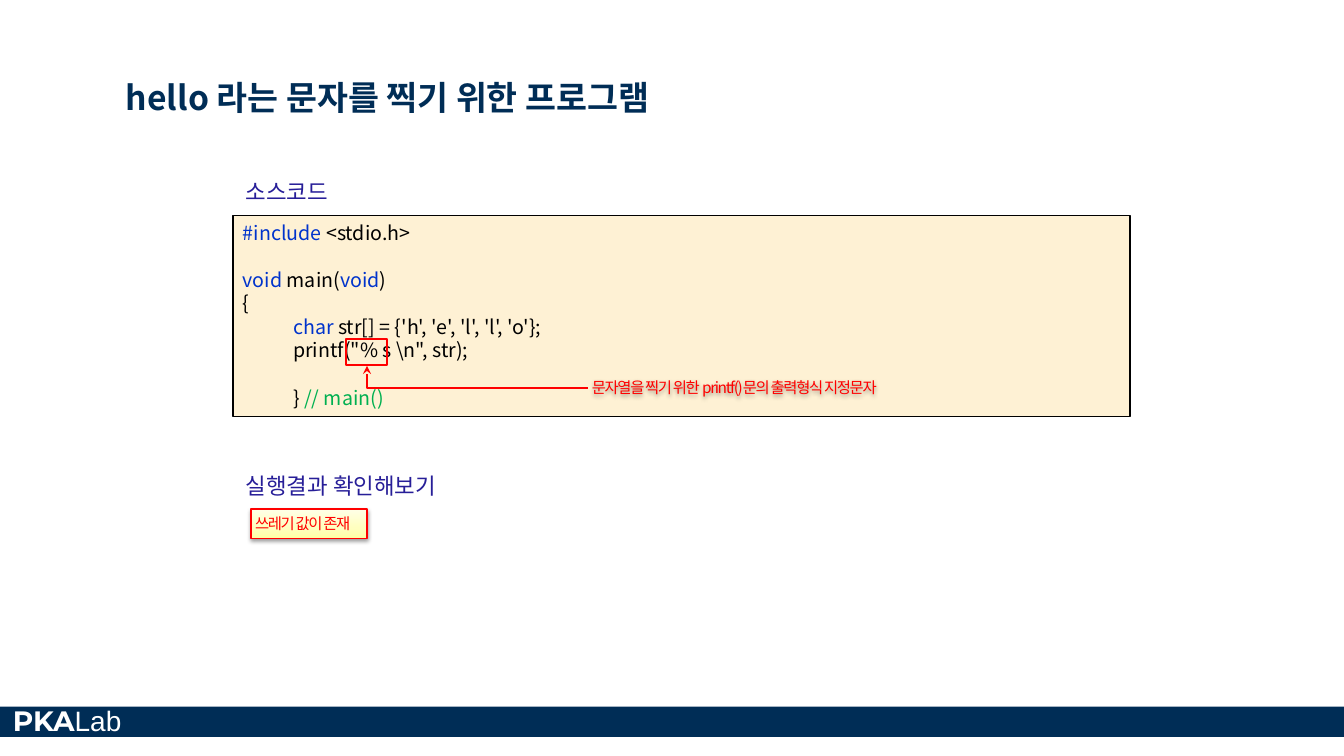
import pptx
import pptx.util
import pptx.oxml
import pptx.oxml.ns
import pptx.dml.color
import pptx.enum.shapes
import pptx.enum.text

Inches, Pt = pptx.util.Inches, pptx.util.Pt
Anchor = pptx.enum.text.MSO_ANCHOR
Shape = pptx.enum.shapes.MSO_SHAPE

COLORS = {
    "navy": "002D56", "white": "FFFFFF", "heading": "271E98", "cream": "FEF1D4",
    "black": "000000", "keyword": "0033CC", "comment": "00B050", "red": "FF0000",
}
FONT = "Noto Sans CJK KR"
TITLE = "hello 라는 문자를 찍기 위한 프로그램"
HEADINGS = [("소스코드", 1.71), ("실행결과 확인해보기", 4.62)]
NOTE = "문자열을 찍기 위한 printf()문의 출력형식 지정문자"
RESULT = "쓰레기 값이 존재"
LOGO = [("PKA", "white", "Montserrat", True), ("Lab", "white", "Arial", False)]
CODE_LINE = 16.8
CODE = [
    (0, 0, [("#include ", "keyword"), ("<stdio.h>", "black")]),
    (0, 1, [("void ", "keyword"), ("main(", "black"), ("void", "keyword"), (")", "black")]),
    (0, 0, [("{", "black")]),
    (0.5, 0, [("char ", "keyword"), ("str[] = {'h', 'e', 'l', 'l', 'o'};", "black")]),
    (0.5, 0, [("printf(\"% s \\n\", str);", "black")]),
    (0.5, 1, [("} ", "black"), ("// main()", "comment")]),
]
GRADIENT = [(0, "FFFFA5"), (35, "FFFFBF"), (100, "FFFFE7")]


def rgb(name):
    return pptx.dml.color.RGBColor.from_string(COLORS[name])


def parse_xml(tag, attributes="", content=""):
    namespace = pptx.oxml.ns.nsdecls("a")
    return pptx.oxml.parse_xml(f"<a:{tag} {namespace} {attributes}>{content}</a:{tag}>")


def write_text(shape, lines, size=14, anchor=Anchor.TOP, inset=(0.1, 0.05),
               spacing=None, tracking=0):
    """Write lines of (indent, blank lines above, runs) into a shape."""
    frame = shape.text_frame
    frame.word_wrap = True
    frame.vertical_anchor = anchor
    frame.margin_left = frame.margin_right = Inches(inset[0])
    frame.margin_top = frame.margin_bottom = Inches(inset[1])
    for index, (indent, gap, runs) in enumerate(lines):
        paragraph = frame.paragraphs[0] if index == 0 else frame.add_paragraph()
        paragraph.alignment = pptx.enum.text.PP_ALIGN.LEFT
        if spacing:
            paragraph.line_spacing = Pt(spacing)
            paragraph.space_before = Pt(gap * spacing)
        if indent:
            paragraph._p.get_or_add_pPr().set("marL", str(Inches(indent)))
        for text, color, *style in runs:
            run = paragraph.add_run()
            run.text = text
            font_name, bold = style or (FONT, False)
            run.font.size, run.font.bold, run.font.name = Pt(size), bold, font_name
            run.font.color.rgb = rgb(color)
            properties = run._r.get_or_add_rPr()
            properties.append(parse_xml("ea", f'typeface="{font_name}"'))
            if tracking:
                properties.set("spc", str(tracking * 100))


def add_box(slide, area, kind=Shape.RECTANGLE, fill=None, line=None, width=1):
    shape = slide.shapes.add_shape(kind, *map(Inches, area))
    shape.shadow.inherit = False
    if fill:
        shape.fill.solid()
        shape.fill.fore_color.rgb = rgb(fill)
    else:
        shape.fill.background()
    if line:
        shape.line.color.rgb = rgb(line)
        shape.line.width = Pt(width)
    else:
        shape.line.fill.background()
    return shape


def add_text(slide, area, lines, **options):
    shape = slide.shapes.add_textbox(*map(Inches, area))
    write_text(shape, lines, **options)
    return shape


def add_shadow(shape):
    shape.shadow.inherit = False
    effects = shape._element.spPr.find(pptx.oxml.ns.qn("a:effectLst"))
    effects.append(parse_xml(
        "outerShdw", f'blurRad="{Pt(3.1)}" dist="{Pt(1.6)}" dir="5400000" rotWithShape="0"',
        '<a:srgbClr val="000000"><a:alpha val="38000"/></a:srgbClr>'))


def add_gradient(shape):
    stops = "".join(f'<a:gs pos="{place * 1000}"><a:srgbClr val="{color}"/></a:gs>'
                    for place, color in GRADIENT)
    properties = shape._element.spPr
    properties.replace(
        properties.find(pptx.oxml.ns.qn("a:noFill")),
        parse_xml("gradFill", 'rotWithShape="1"',
                  f'<a:gsLst>{stops}</a:gsLst><a:lin ang="16200000" scaled="1"/>'))


def add_bent_arrow(slide, left, top, right, bottom):
    connector = slide.shapes.add_connector(
        pptx.enum.shapes.MSO_CONNECTOR.ELBOW, *map(Inches, (left, top, right, bottom)))
    connector.line.color.rgb = rgb("red")
    connector.line.width = Pt(1.5)
    properties = connector._element.spPr
    properties.find(pptx.oxml.ns.qn("a:xfrm")).set("rot", "10800000")
    properties.find(pptx.oxml.ns.qn("a:prstGeom")).set("prst", "bentConnector2")
    properties.find(pptx.oxml.ns.qn("a:ln")).append(parse_xml("tailEnd", 'type="stealth"'))
    properties.append(parse_xml("effectLst"))


def main():
    presentation = pptx.Presentation()
    presentation.slide_width, presentation.slide_height = Inches(13.33), Inches(7.5)
    slide = presentation.slides.add_slide(presentation.slide_layouts[6])

    add_box(slide, (0, 7.01, 13.33, 0.3), fill="navy")
    add_text(slide, (0.03, 6.93, 1.52, 0.44), [(0, 0, LOGO)], size=20)
    add_text(slide, (1.15, 0.13, 10.42, 1.08), [(0, 0, [(TITLE, "navy", FONT, True)])],
             size=24, anchor=Anchor.BOTTOM)
    for heading, top in HEADINGS:
        add_text(slide, (2.34, top, 8.66, 0.86), [(0, 0, [(heading, "heading")])],
                 size=16, spacing=20)

    code_box = add_box(slide, (2.31, 2.14, 8.9, 1.99), fill="cream", line="black")
    write_text(code_box, CODE, spacing=CODE_LINE)

    marker = add_box(slide, (3.43, 3.36, 0.41, 0.26), Shape.ROUNDED_RECTANGLE,
                     line="red", width=1.5)
    marker.adjustments[0] = 0
    note = add_text(slide, (5.83, 3.71, 3.54, 0.26), [(0, 0, [(NOTE, "red")])], size=11,
                    anchor=Anchor.MIDDLE, inset=(0.04, 0.04), spacing=13, tracking=-1)
    add_shadow(note)
    add_bent_arrow(slide, 3.64, 3.63, 5.83, 3.85)

    result = add_box(slide, (2.49, 5.05, 1.15, 0.29), line="red")
    add_gradient(result)
    add_shadow(result)
    write_text(result, [(0, 0, [(RESULT, "red")])], size=11, anchor=Anchor.MIDDLE,
               inset=(0.04, 0.05), spacing=13, tracking=-1)
    presentation.save("out.pptx")


if __name__ == "__main__":
    main()
